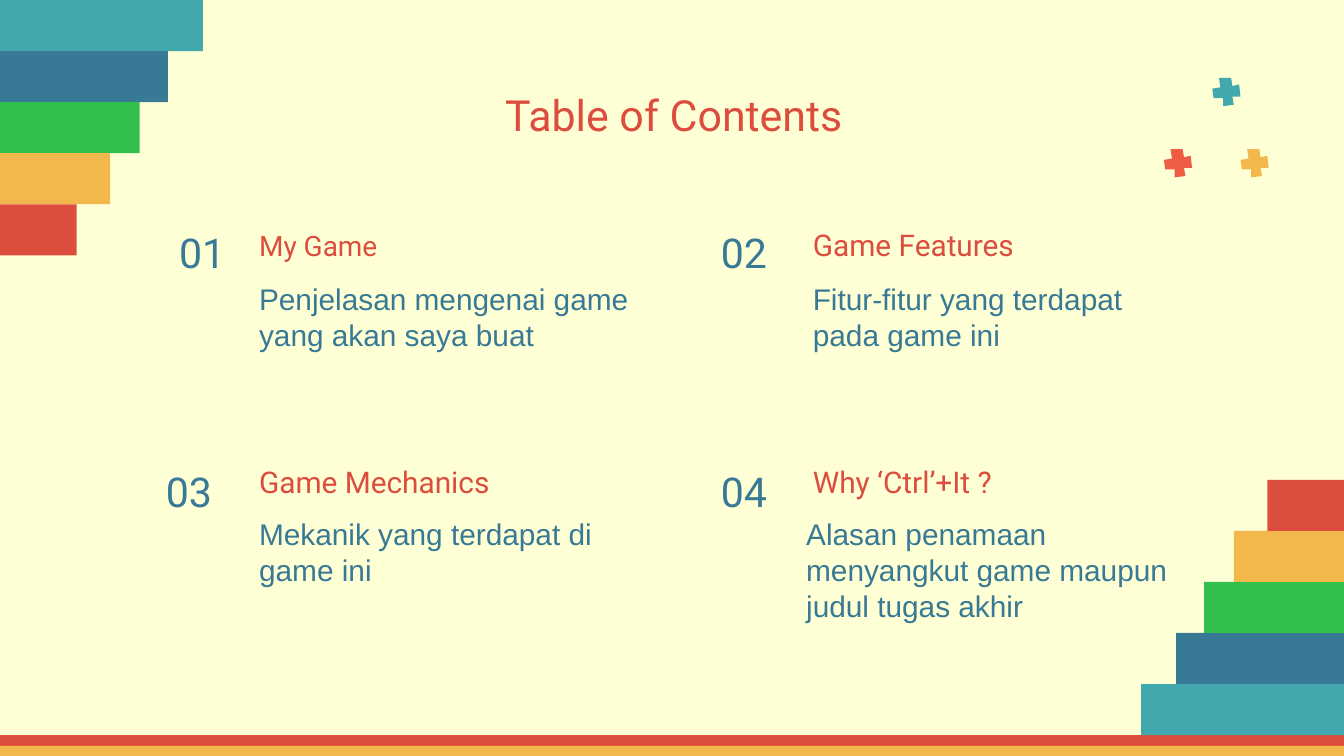
from dataclasses import dataclass

from pptx import Presentation
from pptx.dml.color import RGBColor
from pptx.enum.shapes import MSO_SHAPE
from pptx.enum.text import MSO_ANCHOR, MSO_AUTO_SIZE, PP_ALIGN
from pptx.shapes.base import BaseShape
from pptx.slide import Slide
from pptx.util import Inches, Pt

RECTANGLE = MSO_SHAPE.RECTANGLE
TOP, BOTTOM = MSO_ANCHOR.TOP, MSO_ANCHOR.BOTTOM
LEFT, CENTER = PP_ALIGN.LEFT, PP_ALIGN.CENTER
NO_AUTOFIT = MSO_AUTO_SIZE.NONE


@dataclass(frozen=True)
class Theme:
    cream: str = "FFFFD6"
    red: str = "DD4D3E"
    coral: str = "EF5C44"
    yellow: str = "F2B84C"
    green: str = "33BF4B"
    blue: str = "387995"
    teal: str = "41A9AD"
    heading_font: str = "Roboto"
    body_font: str = "Arial"
    title_size: int = 23
    number_size: int = 22
    heading_size: int = 16
    small_heading_size: int = 15
    body_size: int = 16


THEME = Theme()


@dataclass(frozen=True)
class Box:
    left: float
    top: float
    width: float
    height: float


@dataclass(frozen=True)
class Topic:
    number: str
    heading: str
    description: str
    number_left: float
    heading_left: float
    description_left: float
    row: int
    heading_width: float = 3.22
    description_width: float = 3.03
    heading_size: int = THEME.heading_size


@dataclass(frozen=True)
class Step:
    width: float
    color: str


@dataclass(frozen=True)
class Cross:
    left: float
    top: float
    color: str


SLIDE_WIDTH = 10
SLIDE_HEIGHT = SLIDE_WIDTH * 9 / 16
STRIPE_TOP, STRIPE_HEIGHT = 5.47, 0.08
STEP_HEIGHT = 0.38
STEPS = (
    Step(1.51, THEME.teal),
    Step(1.25, THEME.blue),
    Step(1.04, THEME.green),
    Step(0.82, THEME.yellow),
    Step(0.57, THEME.red),
)
CROSS_OUTLINE = (
    (0.15, 0.14), (0.16, 0.2), (0.08, 0.21), (0.08, 0.15),
    (0.01, 0.15), (0, 0.08), (0.06, 0.07), (0.05, 0),
    (0.14, 0), (0.15, 0.06), (0.2, 0.05), (0.21, 0.14),
)
CROSSES = (
    Cross(8.66, 1.11, THEME.coral),
    Cross(9.02, 0.58, THEME.teal),
    Cross(9.23, 1.11, THEME.yellow),
)
NUMBER_TOPS = (1.43, 3.21)
HEADING_TOPS = (1.51, 3.28)
DESCRIPTION_TOPS = (1.99, 3.74)
TOPICS = (
    Topic("01", "My Game", "Penjelasan mengenai game yang akan saya buat",
          0.92, 1.83, 1.83, 0, heading_size=THEME.small_heading_size),
    Topic("02", "Game Features", "Fitur-fitur yang terdapat pada game ini",
          4.95, 5.95, 5.95, 0),
    Topic("03", "Game Mechanics", "Mekanik yang terdapat di game ini",
          0.82, 1.83, 1.83, 1, heading_width=3.33),
    Topic("04", "Why ‘Ctrl’+It ?",
          "Alasan penamaan menyangkut game maupun judul tugas akhir",
          4.95, 5.95, 5.9, 1, heading_width=3.59, description_width=3.22),
)


def paint(shape: BaseShape, color: str) -> None:
    shape.shadow.inherit = False
    shape.fill.solid()
    shape.fill.fore_color.rgb = RGBColor.from_string(color)
    shape.line.fill.background()


def add_bar(slide: Slide, box: Box, color: str) -> None:
    bar = slide.shapes.add_shape(
        RECTANGLE, Inches(box.left), Inches(box.top),
        Inches(box.width), Inches(box.height),
    )
    paint(bar, color)


def add_cross(slide: Slide, cross: Cross) -> None:
    points = [(Inches(cross.left + x), Inches(cross.top + y)) for x, y in CROSS_OUTLINE]
    builder = slide.shapes.build_freeform(*points[0])
    builder.add_line_segments(points[1:], close=True)
    paint(builder.convert_to_shape(), cross.color)


def write_text(
    shape: BaseShape, text: str, *, size: int, color: str,
    font_name: str = THEME.heading_font, alignment: PP_ALIGN = LEFT,
    anchor: MSO_ANCHOR = BOTTOM, space_after: int = 0,
) -> None:
    frame = shape.text_frame
    frame.auto_size = NO_AUTOFIT
    frame.word_wrap = True
    frame.vertical_anchor = anchor
    frame.margin_left = frame.margin_right = Inches(0.1)
    frame.margin_top = frame.margin_bottom = Inches(0.1)
    frame.text = text
    paragraph = frame.paragraphs[0]
    paragraph.alignment = alignment
    paragraph.line_spacing = 1.0
    paragraph.space_after = Pt(space_after)
    paragraph.font.name = font_name
    paragraph.font.size = Pt(size)
    paragraph.font.color.rgb = RGBColor.from_string(color)


def add_text_box(slide: Slide, box: Box) -> BaseShape:
    return slide.shapes.add_textbox(
        Inches(box.left), Inches(box.top), Inches(box.width), Inches(box.height)
    )


def add_topic(slide: Slide, topic: Topic) -> None:
    number = add_text_box(slide, Box(topic.number_left, NUMBER_TOPS[topic.row], 1.17, 0.73))
    write_text(number, topic.number, size=THEME.number_size, color=THEME.blue,
               alignment=CENTER)
    heading = add_text_box(
        slide, Box(topic.heading_left, HEADING_TOPS[topic.row], topic.heading_width, 0.54))
    write_text(heading, topic.heading, size=topic.heading_size, color=THEME.red)
    description = add_text_box(
        slide, Box(topic.description_left, DESCRIPTION_TOPS[topic.row],
                   topic.description_width, 0.73))
    write_text(description, topic.description, size=THEME.body_size, color=THEME.blue,
               font_name=THEME.body_font, anchor=TOP, space_after=12)


def add_title(slide: Slide) -> None:
    title = slide.shapes.title
    title.left, title.top = Inches(0.79), Inches(0.56)
    title.width, title.height = Inches(8.45), Inches(0.63)
    write_text(title, "Table of Contents", size=THEME.title_size, color=THEME.red,
               alignment=CENTER, anchor=TOP)


def main() -> None:
    presentation = Presentation()
    presentation.slide_width = Inches(SLIDE_WIDTH)
    presentation.slide_height = Inches(SLIDE_HEIGHT)
    slide = presentation.slides.add_slide(presentation.slide_layouts[5])
    slide.background.fill.solid()
    slide.background.fill.fore_color.rgb = RGBColor.from_string(THEME.cream)

    for index, color in enumerate((THEME.red, THEME.yellow)):
        top = STRIPE_TOP + index * STRIPE_HEIGHT
        add_bar(slide, Box(0, top, SLIDE_WIDTH, STRIPE_HEIGHT), color)
    for index, step in enumerate(STEPS):
        top = index * STEP_HEIGHT
        mirrored_top = STRIPE_TOP - (index + 1) * STEP_HEIGHT
        add_bar(slide, Box(0, top, step.width, STEP_HEIGHT), step.color)
        add_bar(slide, Box(SLIDE_WIDTH - step.width, mirrored_top, step.width, STEP_HEIGHT),
                step.color)
    add_title(slide)
    for topic in TOPICS:
        add_topic(slide, topic)
    for cross in CROSSES:
        add_cross(slide, cross)
    presentation.save("out.pptx")


if __name__ == "__main__":
    main()
